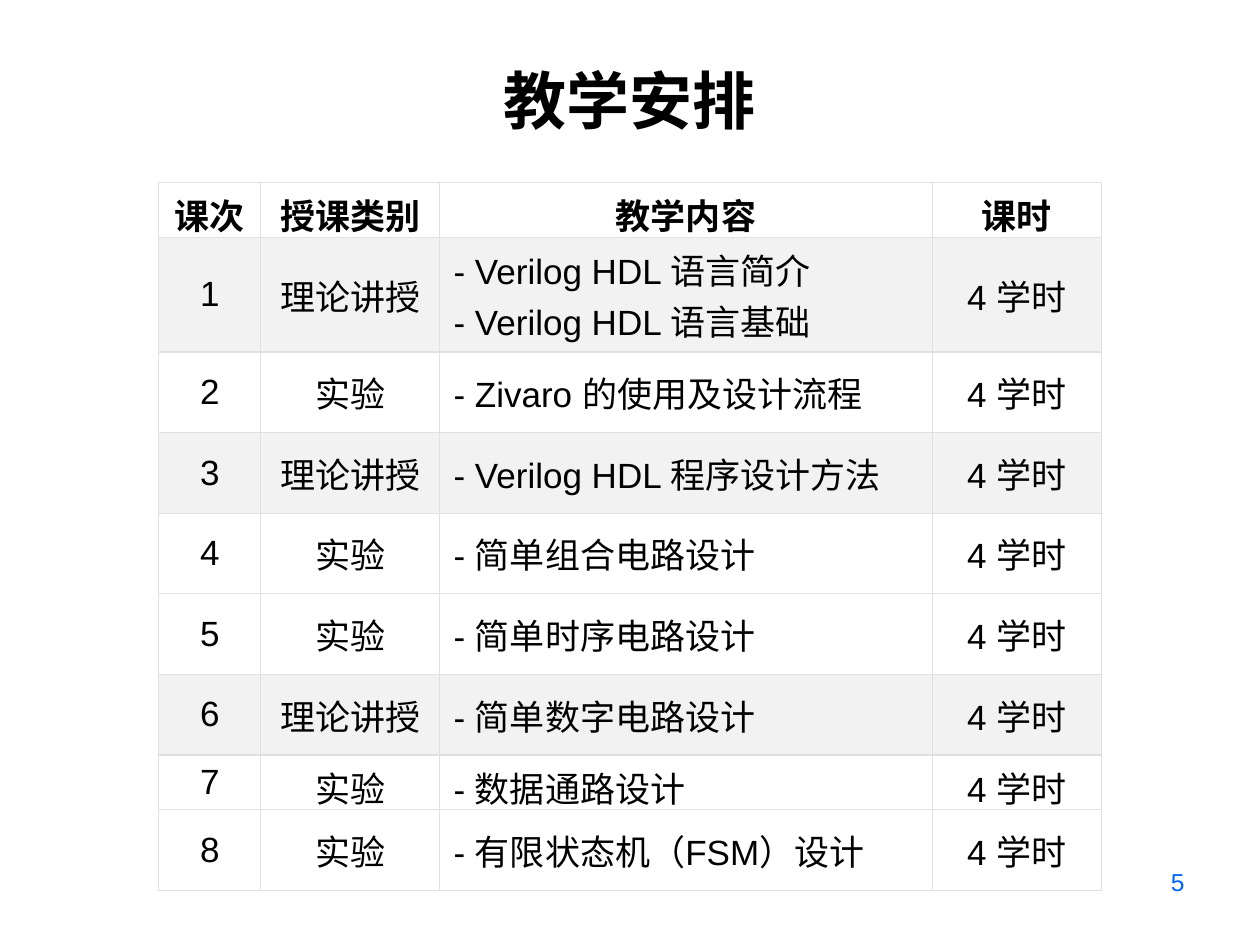
from pptx import Presentation
from pptx.dml.color import RGBColor
from pptx.enum.text import MSO_ANCHOR, PP_ALIGN
from pptx.oxml import parse_xml
from pptx.oxml.ns import nsdecls
from pptx.util import Inches, Pt

LEFT, MID, RIGHT = PP_ALIGN.LEFT, PP_ALIGN.CENTER, PP_ALIGN.RIGHT
TOP, CENTER, BASE = MSO_ANCHOR.TOP, MSO_ANCHOR.MIDDLE, MSO_ANCHOR.BOTTOM

HEAD = ("课次", "授课类别", "教学内容", "课时")
TALK, LAB = "理论讲授", "实验"
PLAN = [
    (TALK, "- Verilog HDL 语言简介\n- Verilog HDL 语言基础"),
    (LAB, "- Zivaro 的使用及设计流程"),
    (TALK, "- Verilog HDL 程序设计方法"),
    (LAB, "- 简单组合电路设计"),
    (LAB, "- 简单时序电路设计"),
    (TALK, "- 简单数字电路设计"),
    (LAB, "- 数据通路设计"),
    (LAB, "- 有限状态机（FSM）设计"),
]
COLS = (0.81, 1.42, 3.91, 1.34)
ROWS = (0.38, 0.91, *[0.64] * 5, 0.38, 0.64)


def color(code):
    return RGBColor.from_string(code)


class Deck:
    """Holds the style and the current slide, and draws each kind of element."""

    font = "Arial"
    ink, blue, gray, rule = "000000", "0066FF", "F2F2F2", "DFE2E5"

    def __init__(self, slide):
        self.slide = slide

    def text(self, frame, words, align, tint, space=None, **form):
        frame.text = words
        for para in frame.paragraphs:
            para.alignment = align
            para.line_spacing = space
            for run in para.runs:
                for key, value in {"name": self.font, **form}.items():
                    setattr(run.font, key, value)
                run.font.color.rgb = color(tint)

    def label(self, words, area, align, anchor, tint, **form):
        box = self.slide.shapes.add_textbox(*map(Inches, area))
        frame = box.text_frame
        frame.word_wrap = True
        frame.vertical_anchor = anchor
        self.text(frame, words, align, tint, **form)

    def border(self, cell):
        props = cell._tc.get_or_add_tcPr()
        for side in "LRTB":
            props.append(parse_xml(
                f'<a:ln{side} {nsdecls("a")} w="{Pt(0.75)}"><a:solidFill>'
                f'<a:srgbClr val="{self.rule}"/></a:solidFill></a:ln{side}>'))

    def cell(self, cell, words, align, bold, shade):
        pads = {"margin_left": 0.11, "margin_right": 0.11,
                "margin_top": 0.05, "margin_bottom": 0.05}
        for key, value in pads.items():
            setattr(cell, key, Inches(value))
        cell.vertical_anchor = CENTER
        self.border(cell)
        if shade:
            cell.fill.solid()
            cell.fill.fore_color.rgb = color(self.gray)
        else:
            cell.fill.background()
        self.text(cell.text_frame, words, align, self.ink, size=Pt(20), bold=bold)

    def table(self, data, left, top):
        area = map(Inches, (left, top, sum(COLS), sum(ROWS)))
        grid = self.slide.shapes.add_table(len(ROWS), len(COLS), *area).table
        grid.first_row = grid.horz_banding = False
        for col, width in zip(grid.columns, COLS):
            col.width = Inches(width)
        for r, (row, high, items) in enumerate(zip(grid.rows, ROWS, data)):
            row.height = Inches(high)
            for c, words in enumerate(items):
                align = LEFT if r and c == 2 else MID
                self.cell(grid.cell(r, c), words, align, r == 0, TALK in items)


def main():
    show = Presentation()
    show.slide_width, show.slide_height = Inches(10), Inches(7.5)
    deck = Deck(show.slides.add_slide(show.slide_layouts[6]))
    deck.label("教学安排", (0, 0.52, 10, 0.62), MID, BASE, deck.ink,
               space=1.15, size=Pt(36), bold=True)
    deck.label("5", (7.17, 6.83, 2.33, 0.52), RIGHT, TOP, deck.blue, size=Pt(14))
    data = [(str(n), *item, "4 学时") for n, item in enumerate(PLAN, 1)]
    deck.table([HEAD, *data], 1.26, 1.45)
    show.save("out.pptx")


if __name__ == "__main__":
    main()
